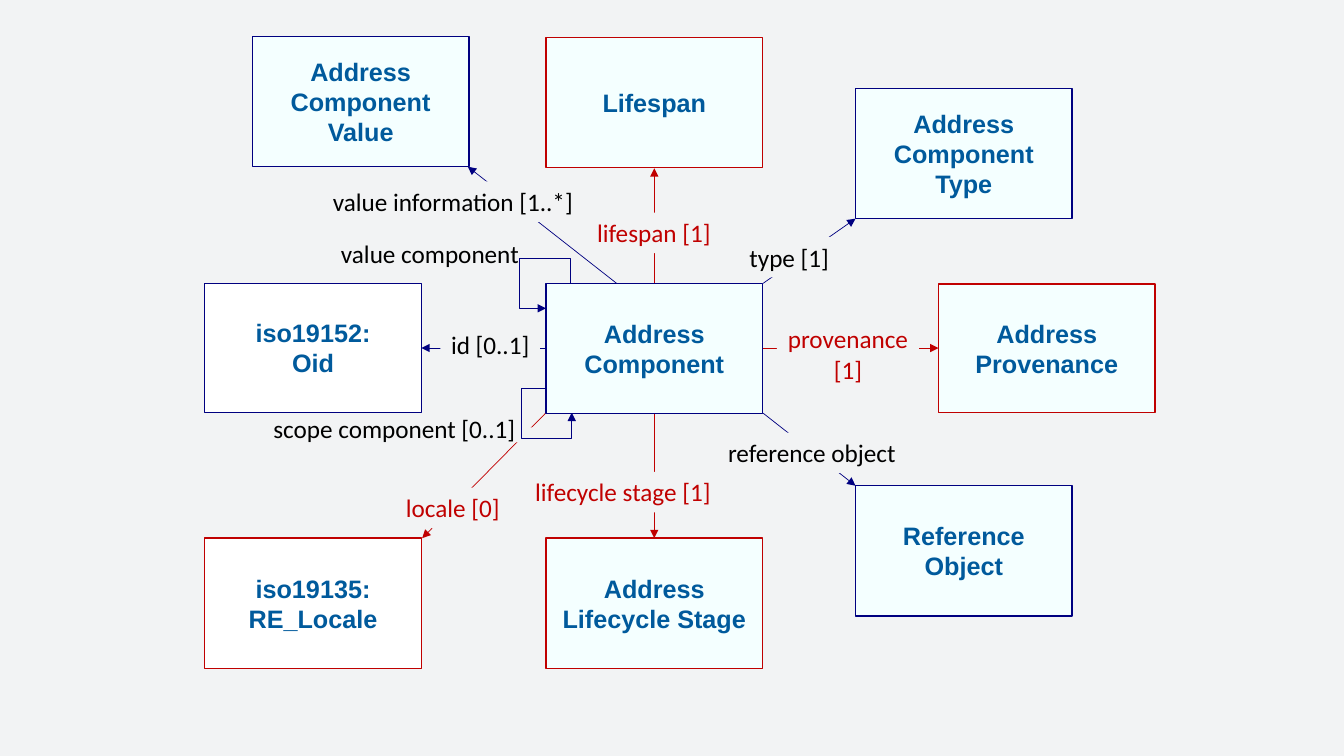
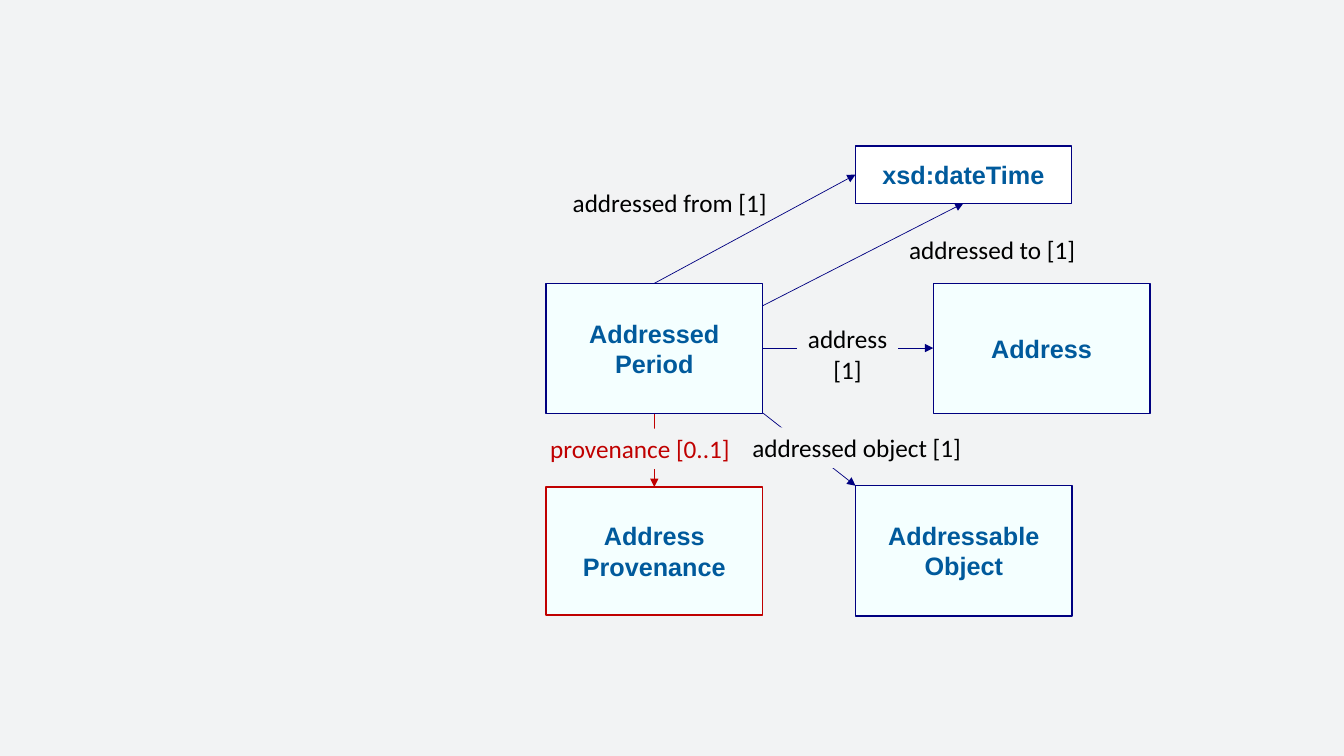
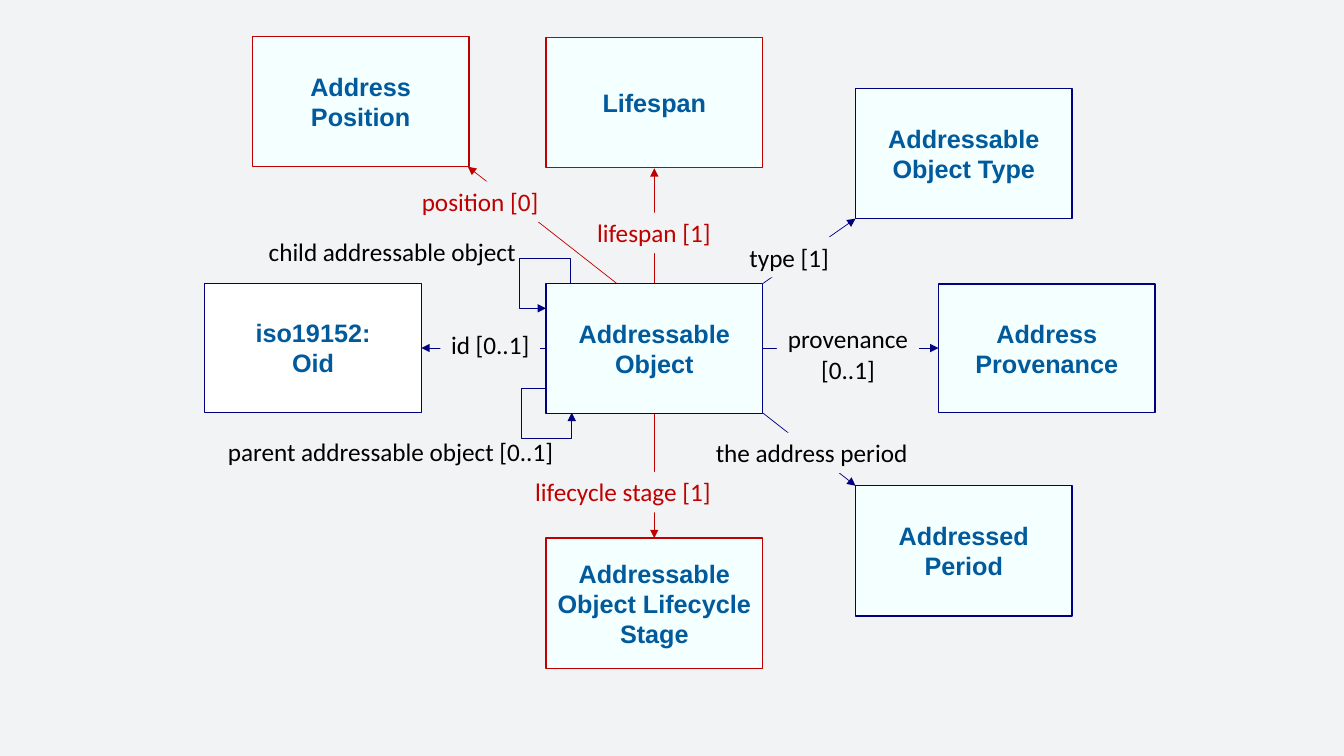
"""Draw three diagrams of the address model as boxes joined by labelled arrows."""
from dataclasses import dataclass

from pptx import Presentation
from pptx.dml.color import RGBColor
from pptx.enum.shapes import MSO_CONNECTOR as Connector, MSO_SHAPE as Shape
from pptx.enum.text import MSO_ANCHOR as Anchor, MSO_AUTO_SIZE as AutoSize, PP_ALIGN as Align
from pptx.oxml.ns import qn
from pptx.oxml.xmlchemy import OxmlElement
from pptx.util import Cm, Pt


@dataclass(frozen=True)
class Theme:
    back: RGBColor = RGBColor.from_string("F2F3F4")
    tint: RGBColor = RGBColor.from_string("F4FFFF")
    white: RGBColor = RGBColor.from_string("FFFFFF")
    heading: RGBColor = RGBColor.from_string("005A9C")
    navy: RGBColor = RGBColor.from_string("000080")
    red: RGBColor = RGBColor.from_string("C00000")
    black: RGBColor = RGBColor.from_string("000000")
    box_font: str = "Arial"
    label_font: str = "Calibri"
    size: Pt = Pt(18)
    border: Pt = Pt(1)
    arrow: Pt = Pt(0.5)


THEME = Theme()
WIDE, TALL = 5.46, 3.28

PLACES = {
    "centre": (13.76, 7.14, WIDE, TALL),
    "top": (13.76, 0.95, WIDE, TALL),
    "top left": (6.36, 0.92, WIDE, TALL),
    "top right": (21.56, 2.23, WIDE, TALL),
    "left": (5.16, 7.14, WIDE, 3.25),
    "right": (23.65, 7.16, WIDE, 3.23),
    "near right": (23.52, 7.14, WIDE, TALL),
    "bottom": (13.76, 13.56, WIDE, TALL),
    "near bottom": (13.76, 12.27, WIDE, 3.23),
    "bottom left": (5.16, 13.56, WIDE, TALL),
    "bottom right": (21.56, 12.24, WIDE, TALL),
    "date": (21.56, 3.68, 5.44, 1.45),
}
ARROWS = {
    "top": (16.49, 7.14, 16.49, 4.24),
    "top left": (15.54, 7.14, 11.79, 4.2),
    "top right": (19.23, 7.14, 21.56, 5.51),
    "left": (13.76, 8.77, 10.62, 8.77),
    "right": (19.23, 8.77, 23.65, 8.77),
    "near right": (19.23, 8.77, 23.52, 8.77),
    "bottom": (16.49, 10.41, 16.49, 13.56),
    "near bottom": (16.49, 10.41, 16.49, 12.27),
    "bottom left": (13.76, 10.4, 10.64, 13.56),
    "bottom right": (19.23, 10.41, 21.56, 12.24),
    "date from": (16.49, 7.14, 21.56, 4.4),
    "date to": (19.23, 7.7, 24.28, 5.12),
    "loop above": (14.38, 7.77, 13.76, 7.15),
    "loop below": (14.41, 10.4, 13.79, 9.78),
}
LOOP_TURNS = {"loop above": 270, "loop below": 180}
UNFILLED = {"loop above", "loop below", "date from", "date to"}
CROSSING_GAP = (12.98, 10.77, 0.46, 0.38)

PAGES = [
    {
        "boxes": [
            ("bottom right", "Reference Object", THEME.navy),
            ("top left", "Address Component Value", THEME.navy),
            ("top", "Lifespan", THEME.red),
            ("top right", "Address Component Type", THEME.navy),
            ("right", "Address Provenance", THEME.red),
            ("bottom", "Address Lifecycle Stage", THEME.red),
            ("left", "iso19152:\nOid", THEME.navy),
            ("bottom left", "iso19135: RE_Locale", THEME.red),
            ("centre", "Address Component", THEME.navy),
        ],
        "relations": [
            ("top", "lifespan [1]", (14.78, 5.36, 3.4), THEME.red),
            ("top right", "type [1]", (18.62, 5.97, 2.54), THEME.navy),
            ("right", "provenance\n[1]", (19.58, 8.03, 3.58), THEME.red),
            ("bottom right", "reference object", (18.06, 10.9, 4.8), THEME.navy),
            ("bottom", "lifecycle stage [1]", (13.21, 11.89, 4.98), THEME.red),
            ("left", "id [0..1]", (11.1, 8.18, 2.51), THEME.navy),
            ("top left", "value information [1..*]", (8.1, 4.57, 6.63), THEME.navy),
            ("loop above", "value component", (8.31, 5.89, 5.05), THEME.navy),
            ("bottom left", "locale [0]", (9.96, 12.29, 2.9), THEME.red),
            ("loop below", "scope component [0..1]", (6.6, 10.29, 6.68), THEME.navy),
        ],
    },
    {
        "boxes": [
            ("centre", "Addressed Period", THEME.navy),
            ("bottom right", "Addressable Object", THEME.navy),
            ("date", "xsd:dateTime", THEME.navy),
            ("near right", "Address", THEME.navy),
            ("near bottom", "Address Provenance", THEME.red),
        ],
        "relations": [
            ("near right", "address\n[1]", (20.09, 8.03, 2.54), THEME.navy),
            ("bottom right", "addressed object [1]", (18.67, 10.77, 5.84), THEME.navy),
            ("date from", "addressed from [1]", (14.15, 4.6, 5.46), THEME.navy),
            ("date to", "addressed to [1]", (22.63, 5.77, 4.75), THEME.navy),
            ("near bottom", "provenance [0..1]", (13.59, 10.8, 5.08), THEME.red),
        ],
    },
    {
        "boxes": [
            ("bottom right", "Addressed Period", THEME.navy),
            ("top left", "Address Position", THEME.red),
            ("top", "Lifespan", THEME.red),
            ("top right", "Addressable Object Type", THEME.navy),
            ("right", "Address Provenance", THEME.navy),
            ("bottom", "Addressable Object Lifecycle Stage", THEME.red),
            ("left", "iso19152:\nOid", THEME.navy),
            ("centre", "Addressable Object", THEME.navy),
        ],
        "relations": [
            ("top", "lifespan [1]", (14.78, 5.36, 3.4), THEME.red),
            ("top right", "type [1]", (18.62, 5.97, 2.54), THEME.navy),
            ("right", "provenance\n[0..1]", (19.58, 8.03, 3.58), THEME.navy),
            ("bottom right", "the address period", (17.75, 10.9, 5.41), THEME.navy),
            ("bottom", "lifecycle stage [1]", (13.21, 11.89, 4.98), THEME.red),
            ("left", "id [0..1]", (11.1, 8.18, 2.51), THEME.navy),
            ("top left", "position [0]", (10.36, 4.57, 3.48), THEME.red),
            ("loop above", "child addressable object", (6.48, 5.82, 6.81), THEME.navy),
            ("loop below", "parent addressable object [0..1]", (5.44, 10.87, 8.81), THEME.navy),
        ],
    },
]


def write(shape, text, *, font, color, bold=False, wrap=True, anchor=Anchor.MIDDLE):
    frame = shape.text_frame
    frame.word_wrap = wrap
    frame.auto_size = AutoSize.NONE if wrap else AutoSize.SHAPE_TO_FIT_TEXT
    frame.vertical_anchor = anchor
    para = frame.paragraphs[0]
    para.text = text
    para.alignment = Align.CENTER
    for span in para.runs:
        span.font.name = font
        span.font.size = THEME.size
        span.font.bold = bold
        span.font.color.rgb = color


def draw_arrow(page, name, color):
    turn = LOOP_TURNS.get(name)
    kind = Connector.ELBOW if turn else Connector.STRAIGHT
    arrow = page.shapes.add_connector(kind, *map(Cm, ARROWS[name]))
    arrow.line.color.rgb = color
    arrow.line.width = THEME.arrow
    head = OxmlElement("a:tailEnd")
    head.set("type", "triangle")
    arrow.line._get_or_add_ln().append(head)
    properties = arrow._element.spPr
    properties.append(OxmlElement("a:effectLst"))
    if turn:
        properties.find(qn("a:xfrm")).set("rot", str(turn * 60000))
        geometry = properties.find(qn("a:prstGeom"))
        geometry.set("prst", "bentConnector4")
        adjustments = geometry.find(qn("a:avLst"))
        for key, value in (("adj1", -103100), ("adj2", 206200)):
            guide = OxmlElement("a:gd")
            guide.set("name", key)
            guide.set("fmla", f"val {value}")
            adjustments.append(guide)


deck = Presentation()
deck.slide_width, deck.slide_height = Cm(33.87), Cm(19.05)
backdrop = deck.slide_master.background.fill
backdrop.solid()
backdrop.fore_color.rgb = THEME.back
blank = deck.slide_layouts.get_by_name("Blank")

for content in PAGES:
    page = deck.slides.add_slide(blank)

    for name, text, (left, top, width), color in content["relations"]:
        draw_arrow(page, name, color)
        if name == "bottom left":
            gap = page.shapes.add_shape(Shape.RECTANGLE, *map(Cm, CROSSING_GAP))
            gap.shadow.inherit = False
            gap.fill.solid()
            gap.fill.fore_color.rgb = THEME.back
            gap.line.fill.background()
        height = 1.8 if "\n" in text else 1.02
        label = page.shapes.add_textbox(Cm(left), Cm(top), Cm(width), Cm(height))
        if name not in UNFILLED:
            label.fill.solid()
            label.fill.fore_color.rgb = THEME.back
        ink = THEME.red if color == THEME.red else THEME.black
        write(label, text, font=THEME.label_font, color=ink, wrap=False, anchor=Anchor.TOP)

    for place, text, color in content["boxes"]:
        box = page.shapes.add_shape(Shape.RECTANGLE, *map(Cm, PLACES[place]))
        box.shadow.inherit = False
        box.fill.solid()
        box.fill.fore_color.rgb = THEME.white if ":" in text else THEME.tint
        box.line.color.rgb = color
        box.line.width = THEME.border
        write(box, text, font=THEME.box_font, color=THEME.heading, bold=True)

deck.save("out.pptx")
